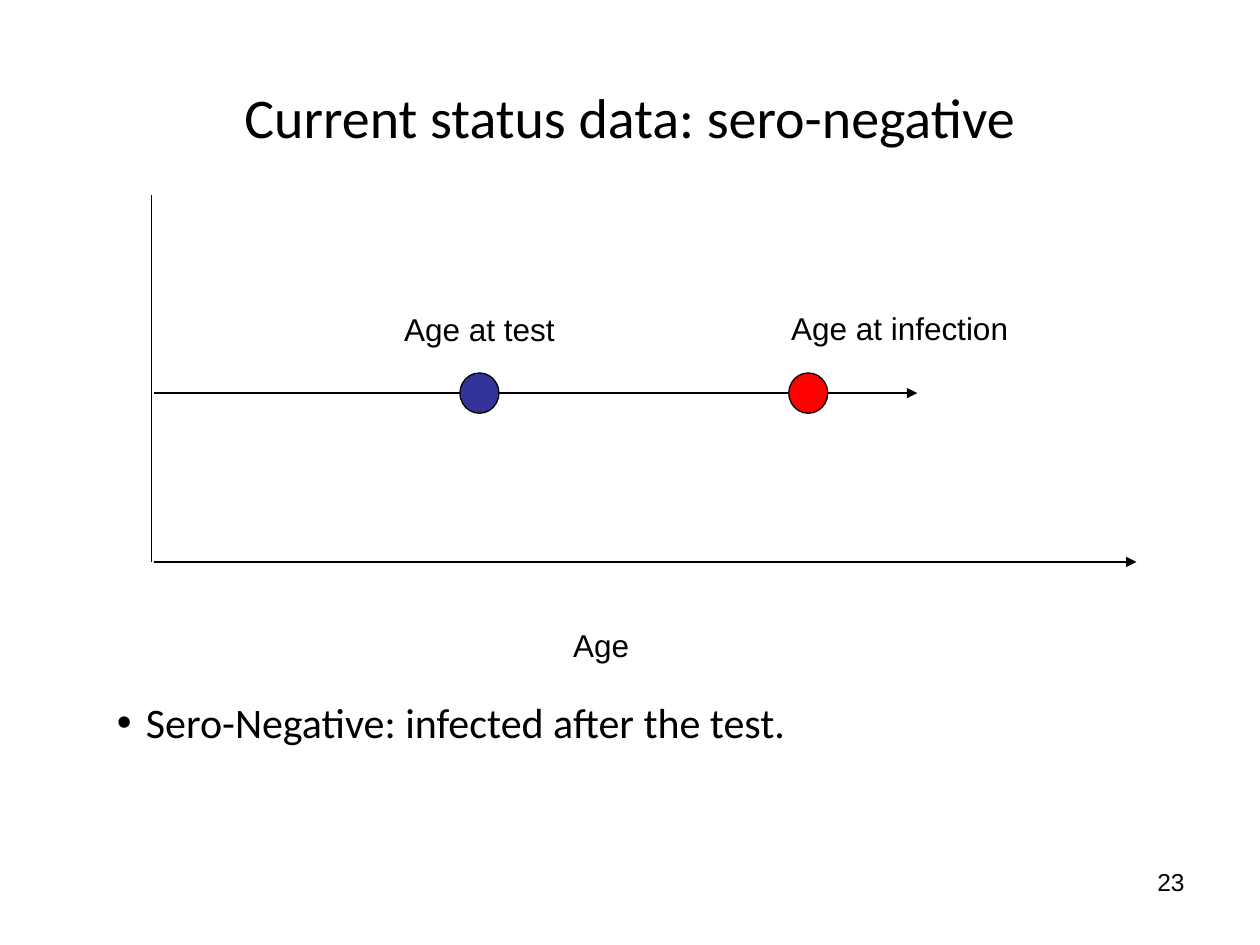
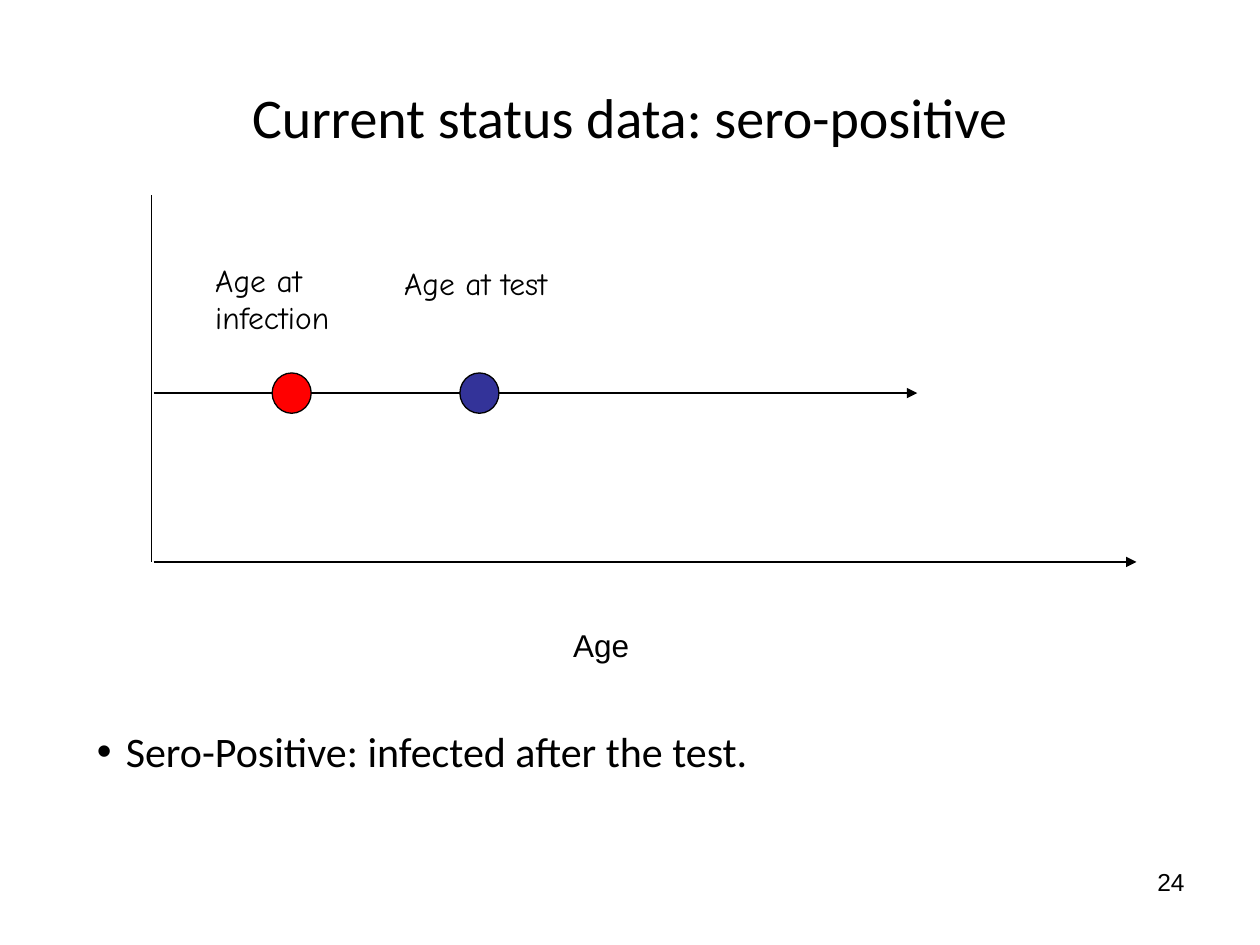
from lxml import etree
from pptx import Presentation
from pptx.dml.color import RGBColor
from pptx.enum import shapes, text
from pptx.oxml import ns
from pptx.util import Inches, Pt

COLORS = {"ink": "000000", "infection": "FF0000", "test": "333399"}
AXIS_LEFT, AXIS_TOP, AXIS_BOTTOM, AXIS_RIGHT = 1.2, 1.55, 4.46, 9.02
LINE_START, TIMELINE_Y, TIMELINE_END = 1.22, 3.12, 7.28
TEST_LEFT = 3.65


def color(name):
    return RGBColor.from_string(COLORS[name])


def add_element(parent, tag, **attributes):
    return etree.SubElement(parent, ns.qn(tag), **attributes)


class Deck:
    styles = {
        "title": {"name": "Calibri", "size": Pt(32)},
        "bullet": {"name": "Calibri", "size": Pt(24)},
        "label": {"name": "Arial", "size": Pt(18)},
        "handwritten": {"name": "Comic Neue", "size": Pt(18)},
        "number": {"name": "Arial", "size": Pt(14)},
    }

    def __init__(self):
        self.presentation = Presentation()
        self.presentation.slide_width = Inches(10)
        self.presentation.slide_height = Inches(7.5)
        self.slide = None

    def new_slide(self):
        layout = self.presentation.slide_layouts[6]
        self.slide = self.presentation.slides.add_slide(layout)

    def text(self, words, box, style, align=text.PP_ALIGN.LEFT,
             anchor=text.MSO_ANCHOR.TOP, bullet=False):
        shape = self.slide.shapes.add_textbox(*map(Inches, box))
        frame = shape.text_frame
        frame.word_wrap = True
        frame.vertical_anchor = anchor
        paragraph = frame.paragraphs[0]
        paragraph.text = words
        paragraph.alignment = align
        if bullet:
            self.bullet(paragraph)
        for attribute, value in self.styles[style].items():
            setattr(paragraph.font, attribute, value)
        paragraph.font.color.rgb = color("ink")

    def bullet(self, paragraph):
        properties = paragraph._p.get_or_add_pPr()
        indent = Inches(0.23)
        properties.set("marL", str(indent))
        properties.set("indent", str(-indent))
        bullet_color = add_element(properties, "a:buClr")
        add_element(bullet_color, "a:srgbClr", val=COLORS["ink"])
        add_element(properties, "a:buFont", typeface="Arial")
        add_element(properties, "a:buChar", char="•")

    def line(self, start, end, arrow=False):
        connector = self.slide.shapes.add_connector(
            shapes.MSO_CONNECTOR.STRAIGHT, *map(Inches, start + end))
        connector.line.color.rgb = color("ink")
        connector.line.width = Pt(0.75)
        if arrow:
            add_element(connector.line._get_or_add_ln(), "a:tailEnd", type="triangle")
        add_element(connector._element.spPr, "a:effectLst")

    def marker(self, left, fill):
        shape = self.slide.shapes.add_shape(
            shapes.MSO_SHAPE.OVAL, *map(Inches, (left, 2.96, 0.31, 0.32)))
        shape.shadow.inherit = False
        shape.fill.solid()
        shape.fill.fore_color.rgb = color(fill)
        shape.line.color.rgb = color("ink")
        shape.line.width = Pt(0.75)

    def status_slide(self, number, status, infection_left, infection_box,
                     test_top, label_style, bullet_box):
        self.new_slide()
        self.line((LINE_START, AXIS_BOTTOM), (AXIS_RIGHT, AXIS_BOTTOM), arrow=True)
        self.text("Age", (4.45, 4.92, 0.87, 0.4), "label")
        self.line((LINE_START, TIMELINE_Y), (TIMELINE_END, TIMELINE_Y), arrow=True)
        self.marker(infection_left, "infection")
        self.line((AXIS_LEFT, AXIS_TOP), (AXIS_LEFT, AXIS_BOTTOM))
        self.marker(TEST_LEFT, "test")
        self.text("Age at infection", infection_box, label_style)
        self.text("Age at test", (3.11, test_top, 2.13, 0.4), label_style)
        self.text(f"Sero-{status}: infected after the test.", bullet_box,
                  "bullet", bullet=True)
        self.text(f"Current status data: sero-{status.lower()}", (0.5, 0.3, 9, 1.25),
                  "title", text.PP_ALIGN.CENTER, text.MSO_ANCHOR.MIDDLE)
        self.text(str(number), (7.17, 6.83, 2.33, 0.52), "number", text.PP_ALIGN.RIGHT)


def main():
    deck = Deck()
    deck.status_slide(23, "Negative", infection_left=6.26,
                      infection_box=(6.18, 2.4, 2.13, 0.4), test_top=2.41,
                      label_style="label", bullet_box=(0.83, 5.48, 7.24, 1.11))
    deck.status_slide(24, "Positive", infection_left=2.16,
                      infection_box=(1.61, 2.02, 1.81, 0.7), test_top=2.05,
                      label_style="handwritten", bullet_box=(0.67, 5.71, 6.38, 0.5))
    deck.presentation.save("out.pptx")


if __name__ == "__main__":
    main()
